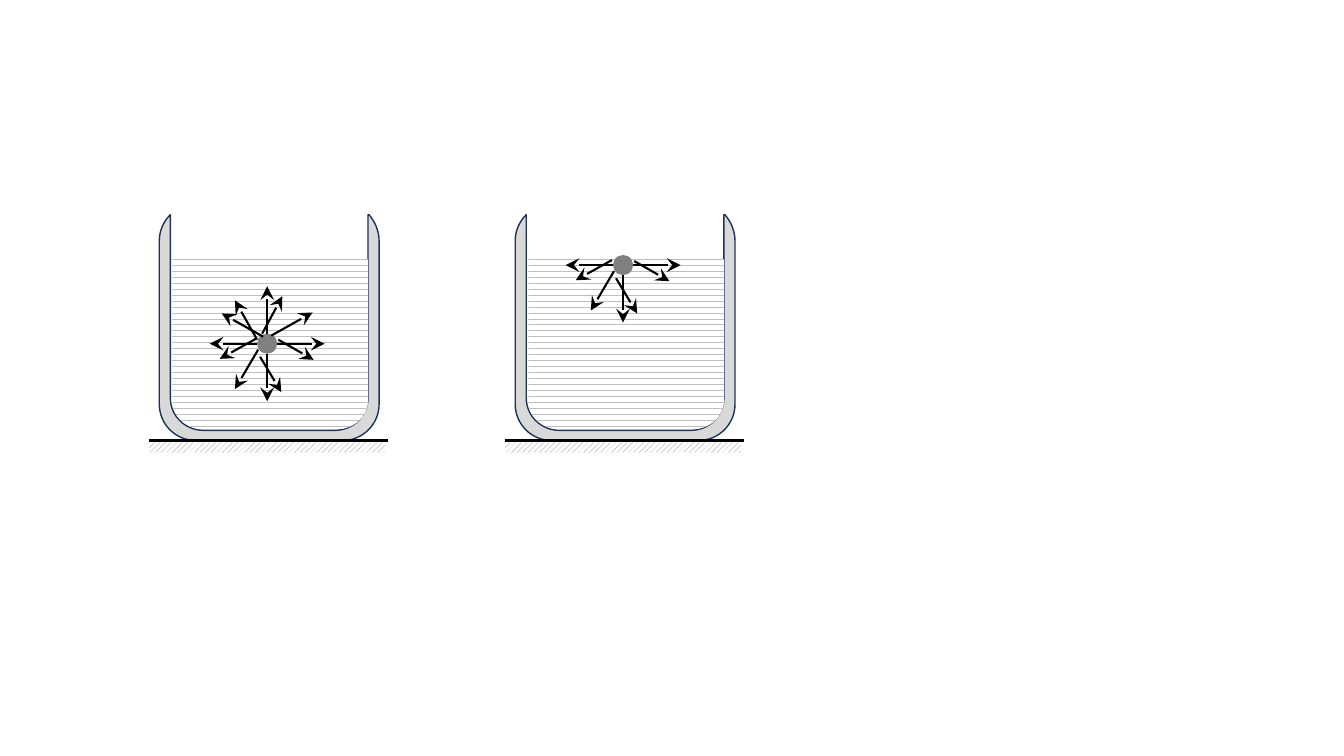
"""Draw two vessels of liquid with the forces on an inner and a surface particle."""
from dataclasses import dataclass
from math import cos, radians, sin

from lxml.etree import SubElement
from pptx import Presentation
from pptx.dml.color import RGBColor
from pptx.enum.dml import MSO_PATTERN_TYPE as Pattern
from pptx.enum.shapes import MSO_CONNECTOR as ConnectorType, MSO_SHAPE as ShapeType
from pptx.oxml.ns import qn
from pptx.util import Inches, Pt

Point = tuple[float, float]
BLACK, GREY, WHITE = "000000", "808080", "FFFFFF"
PARTICLE_RADIUS = 0.1


@dataclass(frozen=True)
class Force:
    start: Point
    end: Point


@dataclass(frozen=True)
class Vessel:
    left: float
    particle: Point
    forces: list[Force]


@dataclass(frozen=True)
class Segment:
    end: Point
    controls: tuple[Point, ...] = ()


FORCES = [
    Force((0, -0.1), (0, -0.57)),
    Force((-0.05, -0.1), (0.15, -0.47)),
    Force((0.04, -0.08), (0.45, -0.31)),
    Force((0.1, 0), (0.57, 0)),
    Force((0.11, -0.04), (0.46, 0.16)),
    Force((-0.07, 0.13), (0.14, 0.48)),
    Force((0, 0.1), (0, 0.57)),
    Force((-0.09, 0.06), (-0.32, 0.45)),
    Force((-0.11, -0.05), (-0.47, 0.15)),
    Force((-0.1, 0), (-0.57, 0)),
    Force((-0.04, -0.07), (-0.45, -0.3)),
    Force((-0.1, -0.04), (-0.32, -0.43)),
]
VESSELS = [
    Vessel(1.58, (2.65, 3.41), FORCES),
    Vessel(5.11, (6.18, 2.63), FORCES[3:10]),
]


def color(value: str) -> RGBColor:
    return RGBColor.from_string(value)


def fill_solid(shape, value: str) -> None:
    shape.shadow.inherit = False
    shape.fill.solid()
    shape.fill.fore_color.rgb = color(value)
    shape.line.fill.background()


def fill_pattern(shape, pattern: Pattern, foreground: str) -> None:
    shape.shadow.inherit = False
    shape.fill.patterned()
    shape.fill.pattern = pattern
    shape.fill.fore_color.rgb = color(foreground)
    shape.fill.back_color.rgb = color(WHITE)
    shape.line.fill.background()


def arc(center: Point, radius: Point, start: int, end: int) -> Segment:
    first, last = radians(start), radians(end)
    pull = 4 / 3 * sin((last - first) / 4) / cos((last - first) / 4)

    def place(angle: float, tangent: float) -> Point:
        return (center[0] + radius[0] * (cos(angle) - tangent * sin(angle)),
                center[1] + radius[1] * (sin(angle) + tangent * cos(angle)))

    return Segment(place(last, 0), (place(first, pull), place(last, -pull)))


def add_outline(shapes, left: float, start: Point, segments: list[Segment]):
    def corner(point: Point) -> tuple[int, int]:
        return Inches(left + point[0]), Inches(point[1])

    builder = shapes.build_freeform(*corner(start))
    builder.add_line_segments([corner(segment.end) for segment in segments], close=True)
    shape = builder.convert_to_shape()
    lines = list(shape._element.iter(qn("a:lnTo")))
    for line, segment in zip(lines, segments):
        if segment.controls:
            line.tag_name = None
            curve = SubElement(line.getparent(), qn("a:cubicBezTo"))
            for point in (*segment.controls, segment.end):
                x, y = corner(point)
                SubElement(curve, qn("a:pt"), x=str(x - shape.left), y=str(y - shape.top))
            line.getparent().replace(line, curve)
    return shape


def add_line(shapes, start: Point, end: Point, arrow: bool = False) -> None:
    ends = [Inches(value) for value in (*start, *end)]
    connector = shapes.add_connector(ConnectorType.STRAIGHT, *ends)
    connector.line.color.rgb = color(BLACK)
    connector.line.width = Pt(1.5)
    if arrow:
        SubElement(connector.line._get_or_add_ln(), qn("a:tailEnd"),
                   type="stealth", w="lg", len="lg")
    SubElement(connector._element.spPr, qn("a:effectLst"))


def add_wall(shapes, left: float) -> None:
    outer, inner = (0.36, 0.36), (0.33, 0.32)
    wall = add_outline(shapes, left, (2.07, 2.13), [
        Segment((2.08, 2.13)),
        arc((1.82, 2.39), outer, -45, 0),
        Segment((2.18, 4.01)),
        arc((1.82, 4.01), outer, 0, 90),
        Segment((0.36, 4.37)),
        arc((0.36, 4.01), outer, 90, 180),
        Segment((0, 2.39)),
        arc((0.36, 2.39), outer, 180, 225),
        Segment((0.11, 2.13)),
        Segment((0.11, 3.95)),
        arc((0.44, 3.95), inner, 180, 90),
        Segment((1.74, 4.27)),
        arc((1.74, 3.95), inner, 90, 0),
    ])
    fill_solid(wall, "D9D9D9")
    wall.line.color.rgb = color("1E3256")
    wall.line.width = Pt(1)


def add_ground(shapes, left: float) -> None:
    ground = shapes.add_group_shape().shapes
    hatching = ground.add_shape(ShapeType.RECTANGLE, Inches(left), Inches(4.39),
                                Inches(2.34), Inches(0.1))
    fill_pattern(hatching, Pattern.WIDE_UPWARD_DIAGONAL, GREY)
    add_line(ground, (left, 4.37), (left + 2.37, 4.37))


def add_liquid(shapes, left: float) -> None:
    radius = (0.32, 0.28)
    liquid = add_outline(shapes, left, (0.13, 2.57), [
        Segment((2.07, 2.57)),
        Segment((2.07, 3.98)),
        arc((1.75, 3.98), radius, 0, 90),
        Segment((0.45, 4.26)),
        arc((0.45, 3.98), radius, 90, 180),
    ])
    fill_pattern(liquid, Pattern.DASHED_HORIZONTAL, "BFBFBF")


def add_particle(shapes, center: Point, forces: list[Force]) -> None:
    group = shapes.add_group_shape().shapes
    x, y = center
    size = Inches(2 * PARTICLE_RADIUS)
    particle = group.add_shape(ShapeType.OVAL, Inches(x - PARTICLE_RADIUS),
                               Inches(y - PARTICLE_RADIUS), size, size)
    fill_solid(particle, GREY)
    for force in forces:
        start, end = [(x + across, y + down) for across, down in (force.start, force.end)]
        add_line(group, start, end, arrow=True)


def main() -> None:
    presentation = Presentation()
    presentation.slide_width = Inches(13.33)
    presentation.slide_height = Inches(7.5)
    slide = presentation.slides.add_slide(presentation.slide_layouts[6])
    for vessel in VESSELS:
        add_wall(slide.shapes, vessel.left)
        add_ground(slide.shapes, vessel.left - 0.1)
        add_liquid(slide.shapes, vessel.left)
        add_particle(slide.shapes, vessel.particle, vessel.forces)
    presentation.save("out.pptx")


if __name__ == "__main__":
    main()
